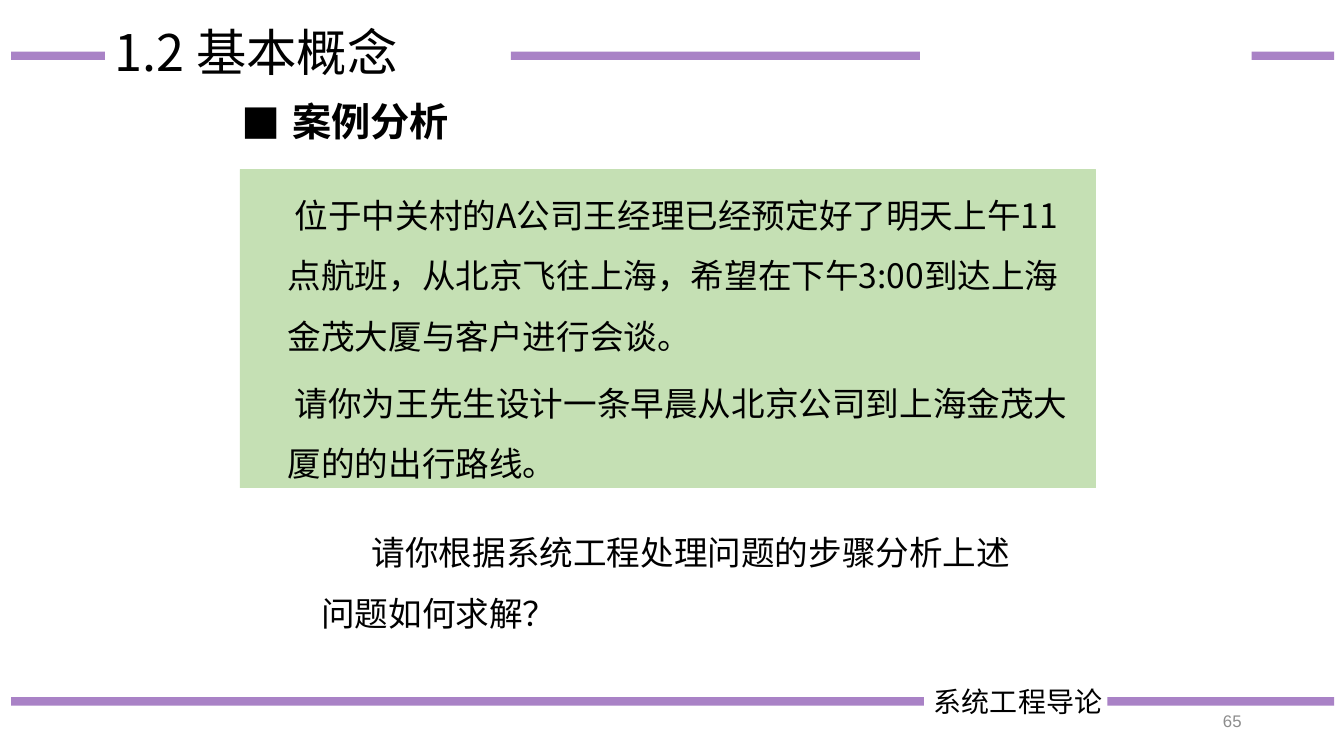
"""Build the case-analysis slide of the systems engineering course."""
import pptx
import pptx.util
import pptx.dml.color
import pptx.enum.shapes
import pptx.enum.text
import pptx.oxml.ns
from lxml import etree

Pt = pptx.util.Pt
ALIGN = pptx.enum.text.PP_ALIGN
ANCHOR = pptx.enum.text.MSO_ANCHOR
COLOURS = {"rule": "7030A0", "ink": "000000", "number": "8C8C8C", "case": "C5E0B4"}
CJK = "Noto Sans CJK SC"


def rgb(key):
    return pptx.dml.color.RGBColor.from_string(COLOURS[key])


def sub(parent, tag, **attributes):
    return etree.SubElement(parent, pptx.oxml.ns.qn(tag), **attributes)


def add_rule(slide, x1, x2, y):
    rule = slide.shapes.add_connector(
        pptx.enum.shapes.MSO_CONNECTOR.STRAIGHT, Pt(x1), Pt(y), Pt(x2), Pt(y))
    rule.line.width = Pt(6)
    rule.line.color.rgb = rgb("rule")
    fill = rule.line.fill._xPr.find(pptx.oxml.ns.qn("a:solidFill"))
    sub(fill[0], "a:alpha", val="60000")
    sub(rule._element.spPr, "a:effectLst")


def write(frame, lines, size, font=CJK, colour="ink", bold=False, spacing=1.0,
          gap=0, margin=0, indent=0, bullet=None, align=ALIGN.LEFT):
    for number, line in enumerate(lines):
        paragraph = frame.add_paragraph() if number else frame.paragraphs[0]
        properties = paragraph._p.get_or_add_pPr()
        properties.set("marL", str(Pt(margin)))
        properties.set("indent", str(Pt(indent)))
        if bullet:
            sub(properties, "a:buFont", typeface=CJK)
            sub(properties, "a:buChar", char=bullet)
        paragraph.alignment = align
        paragraph.line_spacing = spacing
        paragraph.space_before = Pt(gap if number else 0)
        run = paragraph.add_run()
        run.text = line
        run.font.size = Pt(size)
        run.font.bold = bold
        run.font.color.rgb = rgb(colour)
        run.font.name = font
        sub(run._r.get_or_add_rPr(), "a:ea", typeface=CJK)


def add_text(slide, box, line, size, anchor=ANCHOR.TOP, wrap=True, **style):
    frame = slide.shapes.add_textbox(*map(Pt, box)).text_frame
    frame.word_wrap = wrap
    frame.vertical_anchor = anchor
    write(frame, [line], size, **style)


def add_case(slide, box, lines):
    case = slide.shapes.add_shape(
        pptx.enum.shapes.MSO_SHAPE.RECTANGLE, *map(Pt, box))
    case.shadow.inherit = False
    case.fill.solid()
    case.fill.fore_color.rgb = rgb("case")
    case.line.color.rgb = rgb("case")
    case.line.width = Pt(0.5)
    case.text_frame.word_wrap = True
    case.text_frame.vertical_anchor = ANCHOR.TOP
    write(case.text_frame, lines, 24, spacing=1.5, gap=4.8, margin=27, indent=5)


def main():
    deck = pptx.Presentation()
    deck.slide_width, deck.slide_height = Pt(960), Pt(540)
    slide = deck.slides.add_slide(deck.slide_layouts[6])

    top, bottom = 39.8, 501
    for x1, x2, y in [(8, 660, bottom), (791, 953, bottom),
                      (8, 75, top), (894, 953, top), (365, 657, top)]:
        add_rule(slide, x1, x2, y)

    add_text(slide, (660, 485.3, 181, 31.5), "系统工程导论", 20)
    add_text(slide, (75, -13, 828, 104.4), "1.2 基本概念", 36,
             anchor=ANCHOR.MIDDLE, spacing=0.9)
    add_text(slide, (678, 500.4, 216, 28.8), "65", 12, anchor=ANCHOR.MIDDLE,
             font="Arial", colour="number", align=ALIGN.RIGHT)
    add_text(slide, (165.6, 69.8, 164, 38), "案例分析", 28, wrap=False,
             bold=True, spacing=0.9, margin=36, indent=-36, bullet="■")
    add_case(slide, (171.4, 121, 611.3, 227.5), [
        "位于中关村的A公司王经理已经预定好了明天上午11点航班，"
        "从北京飞往上海，希望在下午3:00到达上海金茂大厦与客户进行会谈。",
        "请你为王先生设计一条早晨从北京公司到上海金茂大厦的的出行路线。"])
    add_text(slide, (222.5, 362.2, 508.3, 89.3),
             "请你根据系统工程处理问题的步骤分析上述问题如何求解？", 24,
             font="Arial", spacing=1.5, indent=36)
    deck.save("out.pptx")


if __name__ == "__main__":
    main()
